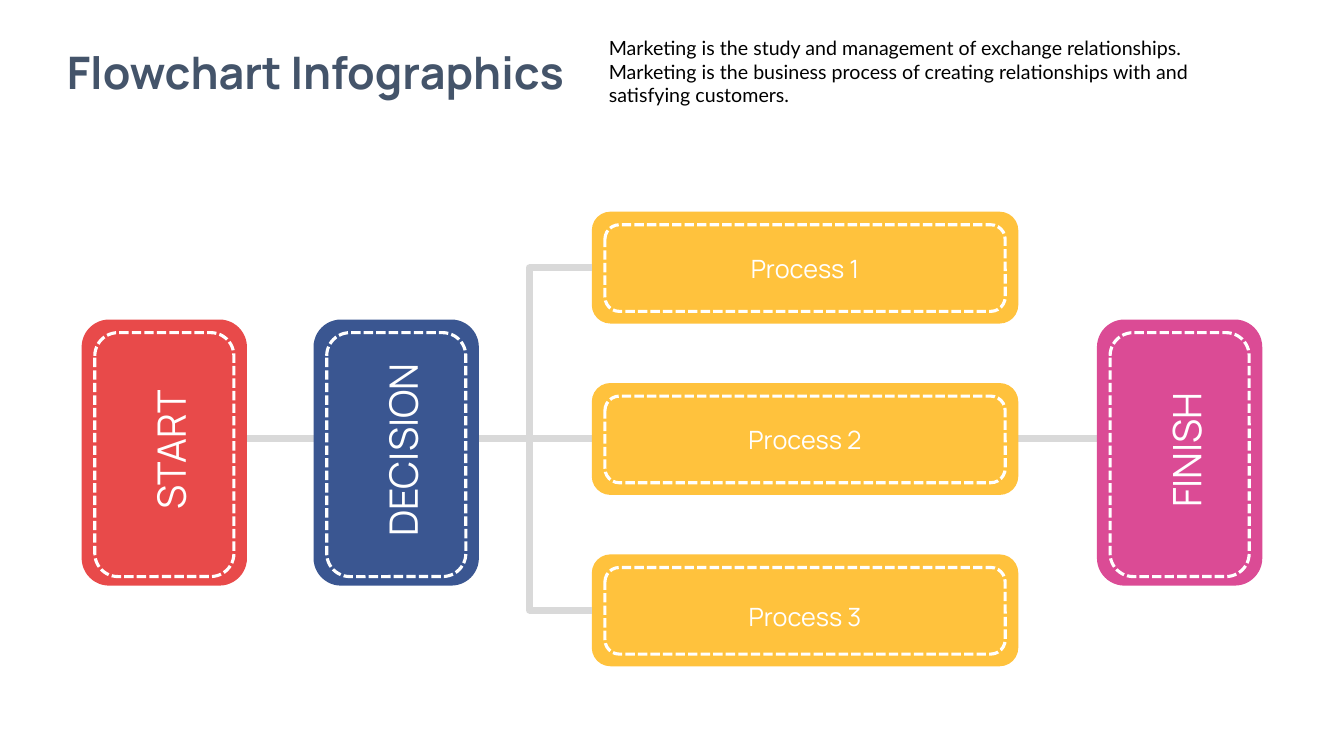
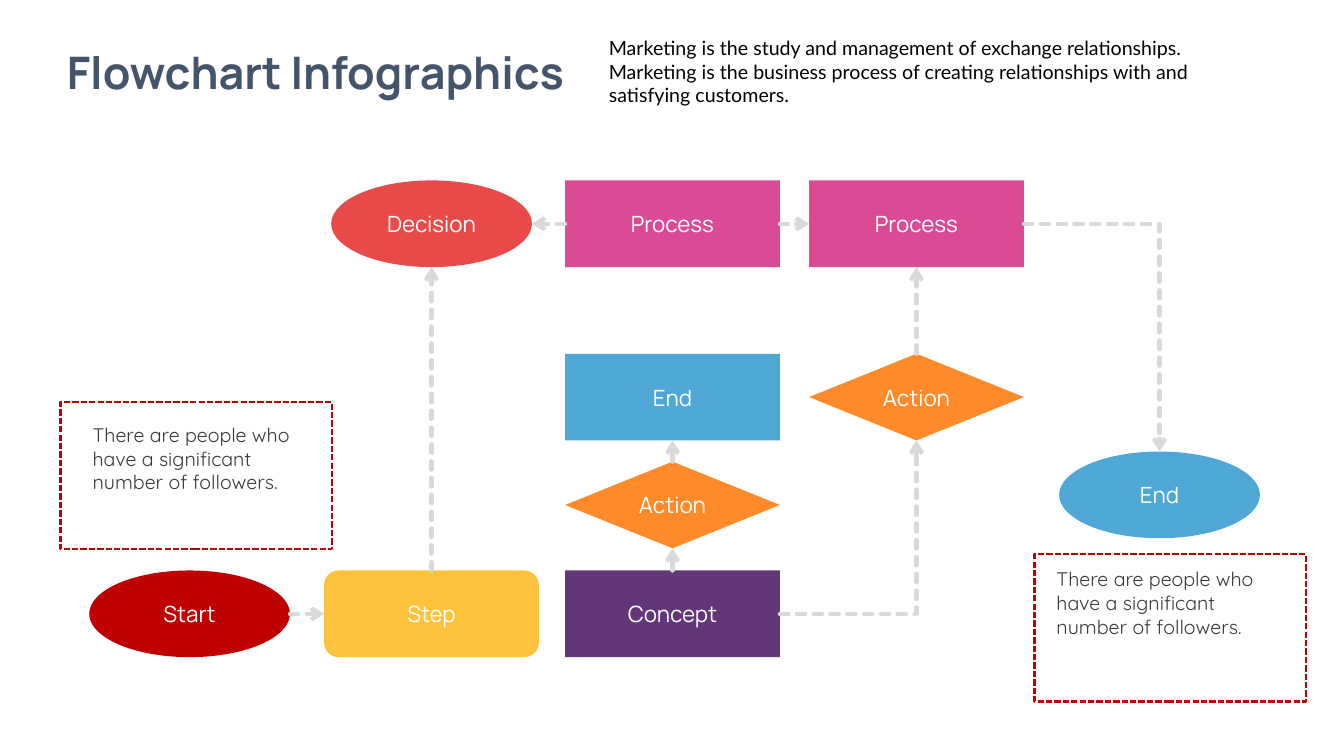
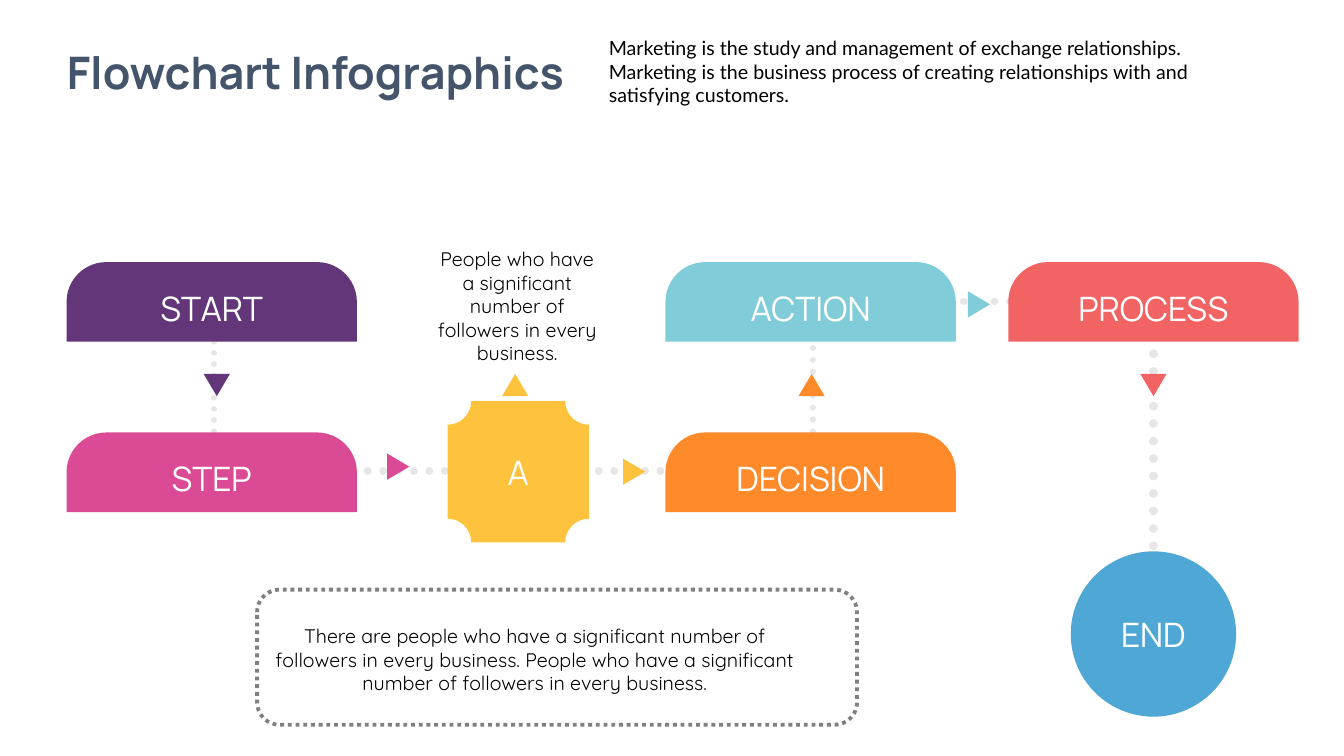
"""Build three flowchart infographic slides."""
import pptx
import pptx.dml.color
import pptx.enum.dml
import pptx.enum.shapes
import pptx.enum.text
import pptx.oxml.ns
import pptx.util
from lxml import etree

Inches = pptx.util.Inches
RGBColor = pptx.dml.color.RGBColor
SHAPE = pptx.enum.shapes.MSO_SHAPE
CONNECTOR = pptx.enum.shapes.MSO_CONNECTOR
DASH = pptx.enum.dml.MSO_LINE
ALIGN = pptx.enum.text.PP_ALIGN
ANCHOR = pptx.enum.text.MSO_ANCHOR
qn = pptx.oxml.ns.qn

SLATE = RGBColor(0x44, 0x54, 0x6A)
BLACK = RGBColor(0x00, 0x00, 0x00)
WHITE = RGBColor(0xFF, 0xFF, 0xFF)
CHARCOAL = RGBColor(0x3B, 0x38, 0x38)
GREY = RGBColor(0x80, 0x80, 0x80)
SILVER = RGBColor(0xD9, 0xD9, 0xD9)
MIST = RGBColor(0xE7, 0xE6, 0xE6)
YELLOW = RGBColor(0xFF, 0xC2, 0x3D)
ORANGE = RGBColor(0xFF, 0x8A, 0x29)
RED = RGBColor(0xE8, 0x4A, 0x4A)
CORAL = RGBColor(0xF2, 0x63, 0x63)
CRIMSON = RGBColor(0xC0, 0x00, 0x00)
PINK = RGBColor(0xDB, 0x4B, 0x95)
PURPLE = RGBColor(0x62, 0x36, 0x78)
NAVY = RGBColor(0x3A, 0x56, 0x91)
BLUE = RGBColor(0x4F, 0xA7, 0xD6)
AQUA = RGBColor(0x80, 0xCD, 0xD9)

HEADING_FONT, INTRO_FONT, NOTE_FONT = "Manrope", "Lato", "Quicksand"
TITLE = "Flowchart Infographics"
INTRO = ("Marketing is the study and management of exchange relationships. "
         "Marketing is the business process of creating relationships with "
         "and satisfying customers.")
FOLLOWERS = "There are people who have a significant number of followers."
PEOPLE = "People who have a significant number of followers in every business."
EVERYONE = ("There are people who have a significant number of followers in "
            "every business. " + PEOPLE)

TOP, LEFT, BOTTOM, RIGHT = range(4)


def write(frame, words, size, font, color, align, bold=False):
    """Put one styled run into a text frame."""
    frame.word_wrap = True
    paragraph = frame.paragraphs[0]
    paragraph.alignment = align
    run = paragraph.add_run()
    run.text = words
    run.font.size = pptx.util.Pt(size)
    run.font.name = font
    run.font.color.rgb = color
    run.font.bold = bold


def add_text(slide, box, words, size, font, color, align=ALIGN.CENTER,
             bold=False, padded=True, rotation=0):
    """Add a text box that grows with its words."""
    holder = slide.shapes.add_textbox(*map(Inches, box))
    holder.rotation = rotation
    frame = holder.text_frame
    if not padded:
        frame.margin_left = frame.margin_right = 0
        frame.margin_top = frame.margin_bottom = 0
    write(frame, words, size, font, color, align, bold)
    frame.auto_size = pptx.enum.text.MSO_AUTO_SIZE.SHAPE_TO_FIT_TEXT


def add_block(slide, kind, box, fill, label="", size=16):
    """Add a filled shape with an optional white label."""
    block = slide.shapes.add_shape(kind, *map(Inches, box))
    block.shadow.inherit = False
    block.fill.solid()
    block.fill.fore_color.rgb = fill
    block.line.fill.background()
    if label:
        block.text_frame.vertical_anchor = ANCHOR.MIDDLE
        write(block.text_frame, label, size, HEADING_FONT, WHITE, ALIGN.CENTER)
    return block


def add_frame(slide, kind, box, color, width, dash):
    """Add an unfilled shape with a dashed outline."""
    frame = slide.shapes.add_shape(kind, *map(Inches, box))
    frame.shadow.inherit = False
    frame.fill.background()
    frame.line.color.rgb = color
    frame.line.width = pptx.util.Pt(width)
    frame.line.dash_style = dash


def add_line(slide, start, end, color, width, dash=None, cap="rnd",
             arrow=False, bent=False):
    """Add a straight or once-bent connector between two points in EMU."""
    kind = CONNECTOR.ELBOW if bent else CONNECTOR.STRAIGHT
    line = slide.shapes.add_connector(kind, *start, *end)
    line.line.color.rgb = color
    line.line.width = pptx.util.Pt(width)
    if dash:
        line.line.dash_style = dash
    properties = line._element.spPr
    stroke = properties.find(qn("a:ln"))
    stroke.set("cap", cap)
    if arrow:
        etree.SubElement(stroke, qn("a:tailEnd"), type="arrow")
    if bent:
        properties.find(qn("a:prstGeom")).set("prst", "bentConnector2")
    etree.SubElement(properties, qn("a:effectLst"))
    return line


def point(x, y):
    """Turn a position in inches into EMU."""
    return Inches(x), Inches(y)


def side_middle(block, side):
    """Return the middle of one side of a block."""
    across = {LEFT: 0, RIGHT: block.width}.get(side, block.width // 2)
    down = {TOP: 0, BOTTOM: block.height}.get(side, block.height // 2)
    return block.left + across, block.top + down


def add_arrow(slide, source, source_side, target, target_side, bent=False):
    """Lead a dashed arrow from one block to another."""
    arrow = add_line(slide, side_middle(source, source_side),
                     side_middle(target, target_side), SILVER, 3,
                     DASH.SQUARE_DOT, arrow=True, bent=bent)
    if not bent and source.auto_shape_type != SHAPE.OVAL:
        arrow.begin_connect(source, source_side)
    if not bent and target.auto_shape_type != SHAPE.OVAL:
        arrow.end_connect(target, target_side)


def add_stitched(slide, box, fill, trim):
    """Add a rounded card with a dashed seam inside it."""
    left, top, width, height = box
    card = add_block(slide, SHAPE.ROUNDED_RECTANGLE, box, fill)
    seam = (left + 0.13, top + 0.13, width - 0.26, height - trim)
    add_frame(slide, SHAPE.ROUNDED_RECTANGLE, seam, WHITE, 2.25, DASH.SQUARE_DOT)
    return card


def add_node(slide, kind, center, top, label, fill):
    """Add a flowchart step centred on its column."""
    width = 1.99 if kind == SHAPE.OVAL else 2.13
    return add_block(slide, kind, (center - width / 2, top, width, 0.86),
                     fill, label)


def start_slide(deck):
    """Add a blank slide with the shared heading and introduction."""
    slide = deck.slides.add_slide(deck.slide_layouts[6])
    add_text(slide, (0.32, 0.39, 5.62, 0.64), TITLE, 32, HEADING_FONT, SLATE,
             bold=True)
    add_text(slide, (5.94, 0.31, 6.3, 0.81), INTRO, 14, INTRO_FONT, BLACK,
             ALIGN.LEFT)
    return slide


def build_branches(deck):
    """Build the slide whose decision splits into three processes."""
    slide = start_slide(deck)
    trunk, first, pitch, height = 5.25, 2.1, 1.7, 1.11
    middles = [first + pitch * row + height / 2 for row in range(3)]
    add_line(slide, point(2.45, middles[1]), point(10.88, middles[1]), SILVER, 5)
    add_line(slide, point(trunk, middles[0]), point(trunk, middles[2]), SILVER, 5)

    for row, label_top in enumerate((2.51, 4.21, 5.97)):
        process = add_stitched(
            slide, (5.87, first + pitch * row, 4.23, height), YELLOW, 0.25)
        add_text(slide, (7.1, label_top, 1.77, 0.3), f"Process {row + 1}", 18,
                 HEADING_FONT, WHITE, padded=False)
        if row != 1:
            branch = add_line(slide, point(5.87, middles[row]),
                              point(trunk, middles[row]), SILVER, 5, cap="flat")
            branch.begin_connect(process, LEFT)

    for left, label, fill in ((0.81, "START", RED), (3.11, "DECISION", NAVY),
                              (10.88, "FINISH", PINK)):
        add_stitched(slide, (left, 3.17, 1.64, 2.64), fill, 0.22)
        add_text(slide, (left - 0.33, 4.23, 2.42, 0.47), label, 28,
                 HEADING_FONT, WHITE, padded=False, rotation=270)


def build_paths(deck):
    """Build the slide with dashed arrows between steps."""
    slide = start_slide(deck)
    columns = (1.88, 4.28, 6.67, 9.09, 11.5)
    upper, middle, lower, base = 1.79, 3.51, 4.58, 5.66
    steps = (
        ("start", SHAPE.OVAL, 0, base, "Start", CRIMSON),
        ("step", SHAPE.ROUNDED_RECTANGLE, 1, base, "Step", YELLOW),
        ("concept", SHAPE.RECTANGLE, 2, base, "Concept", PURPLE),
        ("trial", SHAPE.FLOWCHART_DECISION, 2, lower, "Action", ORANGE),
        ("stop", SHAPE.RECTANGLE, 2, middle, "End", BLUE),
        ("action", SHAPE.FLOWCHART_DECISION, 3, middle, "Action", ORANGE),
        ("process", SHAPE.RECTANGLE, 2, upper, "Process", PINK),
        ("decision", SHAPE.OVAL, 1, upper, "Decision", RED),
        ("review", SHAPE.RECTANGLE, 3, upper, "Process", PINK),
        ("end", SHAPE.OVAL, 4, 4.48, "End", BLUE),
    )
    nodes = {key: add_node(slide, kind, columns[column], top, label, fill)
             for key, kind, column, top, label, fill in steps}

    for source, leaving, target, entering, bent in (
            ("start", RIGHT, "step", LEFT, False),
            ("step", TOP, "decision", BOTTOM, False),
            ("process", LEFT, "decision", RIGHT, False),
            ("process", RIGHT, "review", LEFT, False),
            ("concept", TOP, "trial", BOTTOM, False),
            ("trial", TOP, "stop", BOTTOM, False),
            ("concept", RIGHT, "action", BOTTOM, True),
            ("action", TOP, "review", BOTTOM, False),
            ("review", RIGHT, "end", TOP, True)):
        add_arrow(slide, nodes[source], leaving, nodes[target], entering, bent)

    for text_corner, frame_corner in (((0.82, 4.15), (0.6, 3.99)),
                                      ((10.38, 5.58), (10.26, 5.5))):
        add_text(slide, (*text_corner, 2.24, 1.04), FOLLOWERS, 14, NOTE_FONT,
                 CHARCOAL, ALIGN.LEFT)
        add_frame(slide, SHAPE.RECTANGLE, (*frame_corner, 2.69, 1.46), CRIMSON,
                  1.5, DASH.SQUARE_DOT)


def build_trail(deck):
    """Build the slide with dotted trails and direction markers."""
    slide = start_slide(deck)
    for start, end, width in (((2.12, 3.39), (2.12, 4.67), 4),
                              ((2.12, 4.67), (8.06, 4.67), 5.5),
                              ((8.06, 2.98), (8.06, 4.67), 4.25),
                              ((8.03, 2.99), (11.44, 2.99), 5.5),
                              ((11.44, 2.99), (11.44, 6.29), 6.25)):
        add_line(slide, point(*start), point(*end), MIST, width, DASH.ROUND_DOT)

    add_text(slide, (2.55, 6.14, 5.51, 0.81), EVERYONE, 14, NOTE_FONT, BLACK)
    add_text(slide, (4.19, 2.4, 1.88, 1.28), PEOPLE, 14, NOTE_FONT, BLACK)
    add_frame(slide, SHAPE.ROUNDED_RECTANGLE, (2.55, 5.85, 5.95, 1.34), GREY,
              2.75, DASH.ROUND_DOT)

    for left, top, label, fill in ((0.66, 2.6, "START", PURPLE),
                                   (0.66, 4.29, "STEP", PINK),
                                   (6.6, 4.29, "DECISION", ORANGE),
                                   (6.6, 2.6, "ACTION", AQUA),
                                   (10, 2.6, "PROCESS", CORAL)):
        tab = add_block(slide, SHAPE.ROUND_2_SAME_RECTANGLE,
                        (left, top, 2.88, 0.79), fill, label, 24)
        tab.adjustments[0] = 0.5
        tab.adjustments[1] = 0
    add_block(slide, SHAPE.OVAL, (10.62, 5.47, 1.64, 1.64), BLUE, "END", 24)
    add_block(slide, SHAPE.PLAQUE, (4.44, 3.98, 1.4, 1.4), YELLOW, "A", 24)

    up, right, down = 0, 90, 180
    for left, top, turn, fill in ((4.98, 3.71, up, YELLOW),
                                  (7.92, 3.71, up, ORANGE),
                                  (2.02, 3.71, down, PURPLE),
                                  (11.31, 3.71, down, CORAL),
                                  (3.82, 4.52, right, PINK),
                                  (6.16, 4.57, right, YELLOW),
                                  (9.58, 2.91, right, AQUA)):
        marker = add_block(slide, SHAPE.ISOSCELES_TRIANGLE,
                           (left, top, 0.26, 0.22), fill)
        marker.rotation = turn


def main():
    """Build and save the deck."""
    deck = pptx.Presentation()
    deck.slide_width = Inches(13.33)
    deck.slide_height = Inches(7.5)
    build_branches(deck)
    build_paths(deck)
    build_trail(deck)
    deck.save("out.pptx")


if __name__ == "__main__":
    main()
